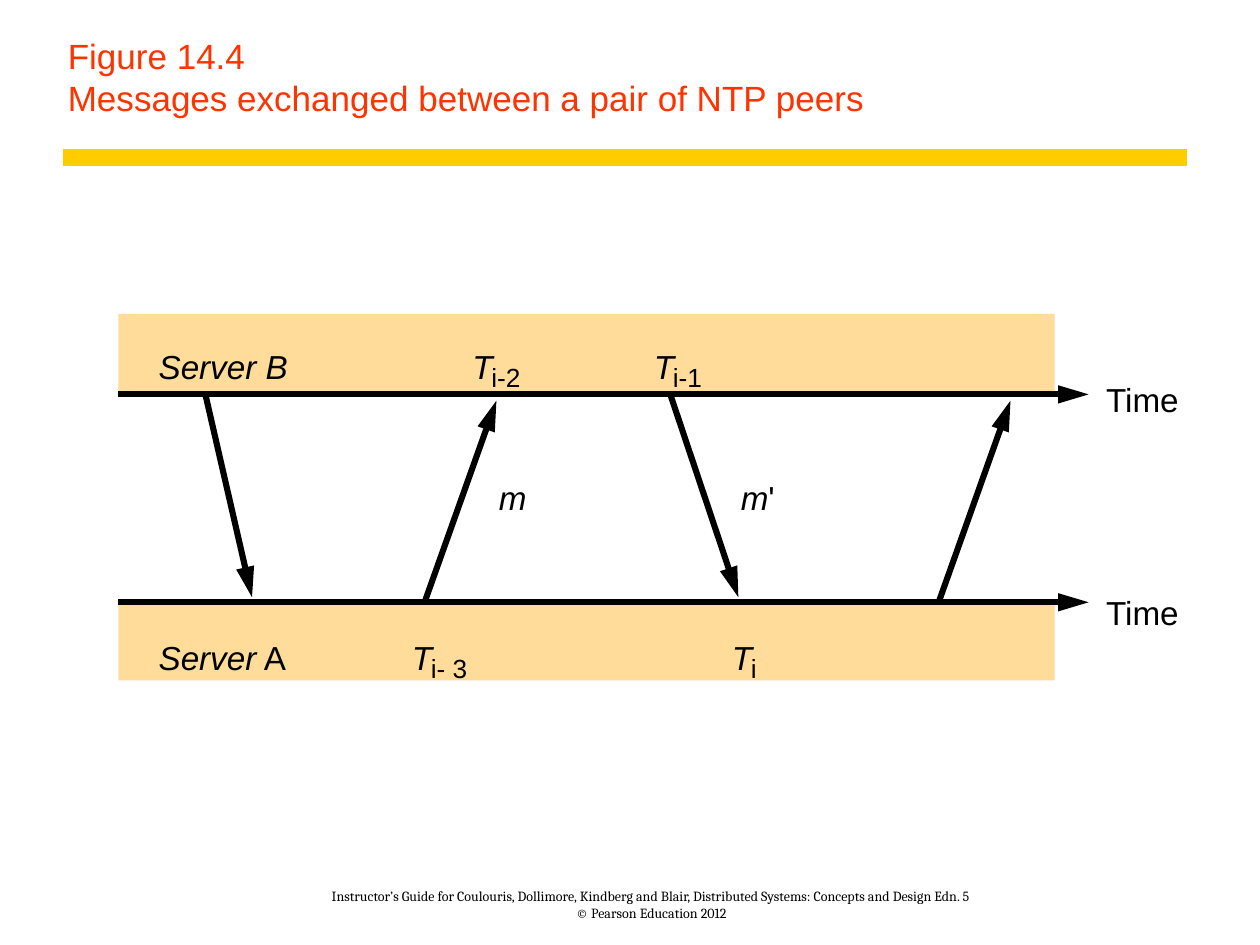
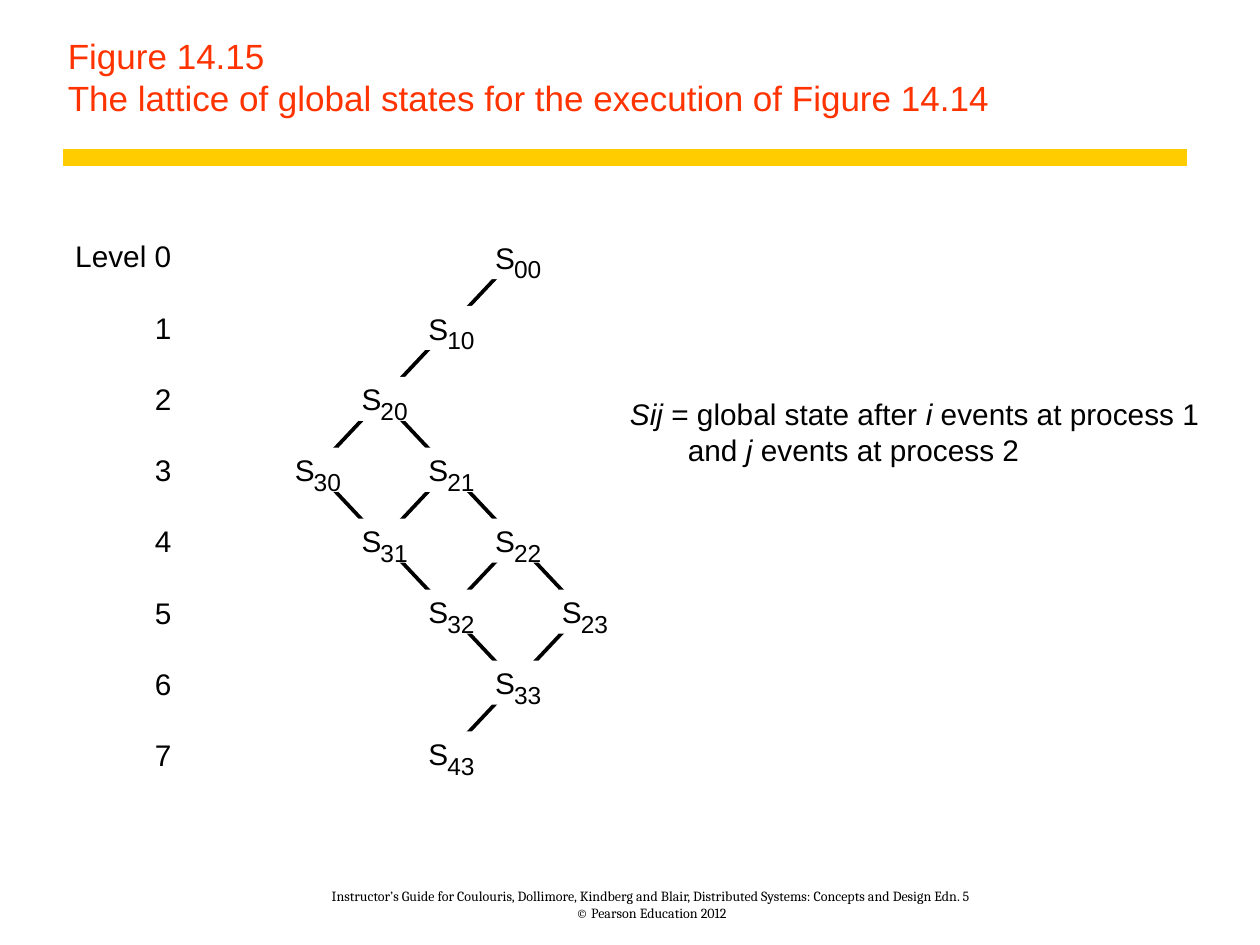
from collections import namedtuple

from lxml.etree import SubElement
from pptx import Presentation
from pptx.dml.color import RGBColor
from pptx.enum.shapes import MSO_CONNECTOR, MSO_SHAPE
from pptx.enum.text import MSO_ANCHOR, PP_ALIGN
from pptx.oxml.ns import qn
from pptx.util import Inches, Pt

Box = namedtuple("Box", "left top width height")

BLACK = "000000"
WHITE = "FFFFFF"
TITLE_RED = "FF3300"
RULE_YELLOW = "FFCC00"
SERVER_BAND = "FFDC99"

TITLE_BOX = Box(0.44, 0, 8.97, 1)
RULE_BOX = Box(0.5, 1.25, 8.92, 0)
FOOTER_BOX = Box(2.13, 6.92, 6.08, 0.39)
FOOTER = (
    "Instructor’s Guide for Coulouris, Dollimore, Kindberg and Blair, "
    "Distributed Systems: Concepts and Design Edn. 5\v© Pearson Education 2012"
)


def color(hex_string):
    return RGBColor.from_string(hex_string)


def add_text(slide, box, paragraphs, size, hex_color=BLACK, font="Arial",
             align=PP_ALIGN.LEFT, anchor=MSO_ANCHOR.TOP, margins=(0, 0, 0, 0)):
    shape = slide.shapes.add_textbox(*map(Inches, box))
    text_frame = shape.text_frame
    text_frame.word_wrap = True
    text_frame.vertical_anchor = anchor
    (text_frame.margin_left, text_frame.margin_top,
     text_frame.margin_right, text_frame.margin_bottom) = map(Inches, margins)
    for index, pieces in enumerate(paragraphs):
        paragraph = text_frame.add_paragraph() if index else text_frame.paragraphs[0]
        paragraph.alignment = align
        if isinstance(pieces, str):
            paragraph.text = pieces
        else:
            for text, italic in pieces:
                run = paragraph.add_run()
                run.text = text
                run.font.italic = italic
        for run in paragraph.runs:
            run.font.name = font
            run.font.size = Pt(size)
            run.font.color.rgb = color(hex_color)
    return text_frame


def add_label(slide, left, top, pieces, size):
    return add_text(slide, Box(left, top, 1.2, 0.3), [pieces], size)


def add_symbol(slide, left, top, letter, subscript, size, subscript_size, italic=False):
    add_label(slide, left, top, [(letter, italic)], size)
    add_label(slide, left + 0.15, top + 0.12, subscript, subscript_size)


def add_line(slide, start, end, width, hex_color=BLACK, arrow=False):
    connector = slide.shapes.add_connector(
        MSO_CONNECTOR.STRAIGHT, *map(Inches, (*start, *end)))
    connector.line.color.rgb = color(hex_color)
    connector.line.width = Pt(width)
    if arrow:
        SubElement(connector.line._get_or_add_ln(), qn("a:tailEnd"),
                   type="triangle", w="med", len="lg")
    SubElement(connector._element.spPr, qn("a:effectLst"))


def add_rectangle(slide, box, fill):
    shape = slide.shapes.add_shape(MSO_SHAPE.RECTANGLE, *map(Inches, box))
    shape.shadow.inherit = False
    shape.fill.solid()
    shape.fill.fore_color.rgb = color(fill)
    shape.line.fill.background()


def add_figure_slide(presentation, title):
    slide = presentation.slides.add_slide(presentation.slide_layouts[6])
    add_text(slide, FOOTER_BOX, [FOOTER], 8, font="Cambria",
             align=PP_ALIGN.CENTER, anchor=MSO_ANCHOR.BOTTOM)
    right = RULE_BOX.left + RULE_BOX.width
    add_line(slide, (RULE_BOX.left, RULE_BOX.top), (right, RULE_BOX.top), 10, RULE_YELLOW)
    add_text(slide, TITLE_BOX, [title], 20, TITLE_RED,
             anchor=MSO_ANCHOR.BOTTOM, margins=(0.1, 0.06, 0.14, 0.06))
    return slide


def draw_message_exchange(slide, box):
    left, top = box.left, box.top
    band_height = 0.62
    bottom_band_top = top + box.height - band_height
    axis_b = top + 0.64
    axis_a = bottom_band_top

    for band_top in (top, bottom_band_top):
        add_rectangle(slide, Box(left, band_top, box.width, band_height), SERVER_BAND)
    for axis, label_top in ((axis_b, axis_b - 0.12), (axis_a, axis_a - 0.08)):
        add_line(slide, (left, axis), (left + 7.7, axis), 3.5, arrow=True)
        add_label(slide, left + 7.84, label_top, "Time", 19)

    for departure, arrival in ((0.69, 1.06), (4.38, 4.92)):
        add_line(slide, (left + departure, axis_b), (left + arrival, axis_a - 0.04), 3.5, arrow=True)
    for departure, arrival in ((2.43, 3), (6.51, 7.08)):
        add_line(slide, (left + departure, axis_a), (left + arrival, axis_b + 0.05), 3.5, arrow=True)

    row_b, row_m, row_a = top + 0.26, top + 1.3, top + 2.57
    for offset, row, pieces in (
        (0.32, row_b, [("Server B", True)]),
        (0.32, row_a, [("Server", True), (" A", False)]),
        (3.02, row_m, [("m", True)]),
        (4.94, row_m, [("m", True), ("'", False)]),
    ):
        add_label(slide, left + offset, row, pieces, 19)
    for offset, row, subscript in (
        (2.81, row_b, "i-2"),
        (4.25, row_b, "i-1"),
        (2.33, row_a, "i- 3"),
        (4.87, row_a, "i"),
    ):
        add_symbol(slide, left + offset, row, "T", subscript, 19, 15, italic=True)


def draw_level_labels(slide, box):
    pitch = box.height / 7
    for level in range(8):
        text = f"Level {level}" if level == 0 else str(level)
        row = Box(box.left, box.top + level * pitch, box.width, 0.26)
        add_text(slide, row, [text], 17, align=PP_ALIGN.RIGHT)


def draw_state_lattice(slide, box):
    states = [(0, 0), (1, 0), (2, 0), (3, 0), (2, 1), (3, 1),
              (2, 2), (3, 2), (2, 3), (3, 3), (4, 3)]
    column_step = box.width / 4
    level_step = box.height / 7
    node_width, node_height = 0.37, 0.35

    def center(state):
        first, second = state
        return (box.left + (3 + second - first) * column_step,
                box.top + (first + second) * level_step)

    for first, second in states:
        for successor in ((first + 1, second), (first, second + 1)):
            if successor in states:
                add_line(slide, center((first, second)), center(successor), 2.13)
    for state in states:
        x, y = center(state)
        add_rectangle(slide, Box(x - node_width / 2, y - node_height / 2,
                                 node_width, node_height), WHITE)
    for first, second in states:
        x, y = center((first, second))
        add_symbol(slide, x - 0.16, y - 0.14, "S", f"{first}{second}", 17, 14)


def draw_state_legend(slide, box):
    text_frame = add_text(slide, box, [
        [("Sij", True), (" = global state after ", False), ("i", True),
         (" events at process 1", False)],
        [("and ", False), ("j", True), (" events at process 2", False)],
    ], 17)
    properties = text_frame.paragraphs[1]._p.get_or_add_pPr()
    properties.set("marL", str(Inches(0.46)))
    properties.set("indent", "0")


def main():
    presentation = Presentation()
    presentation.slide_width = Inches(10)
    presentation.slide_height = Inches(7.5)

    slide = add_figure_slide(
        presentation, "Figure 14.4\vMessages exchanged between a pair of NTP peers")
    draw_message_exchange(slide, Box(0.94, 2.49, 7.43, 2.91))

    slide = add_figure_slide(
        presentation,
        "Figure 14.15\vThe lattice of global states for the execution of Figure 14.14")
    draw_level_labels(slide, Box(0.46, 1.89, 0.9, 3.96))
    draw_state_lattice(slide, Box(2.5, 2.04, 2.12, 3.94))
    draw_state_legend(slide, Box(5, 3.14, 4.8, 0.54))

    presentation.save("out.pptx")


if __name__ == "__main__":
    main()
